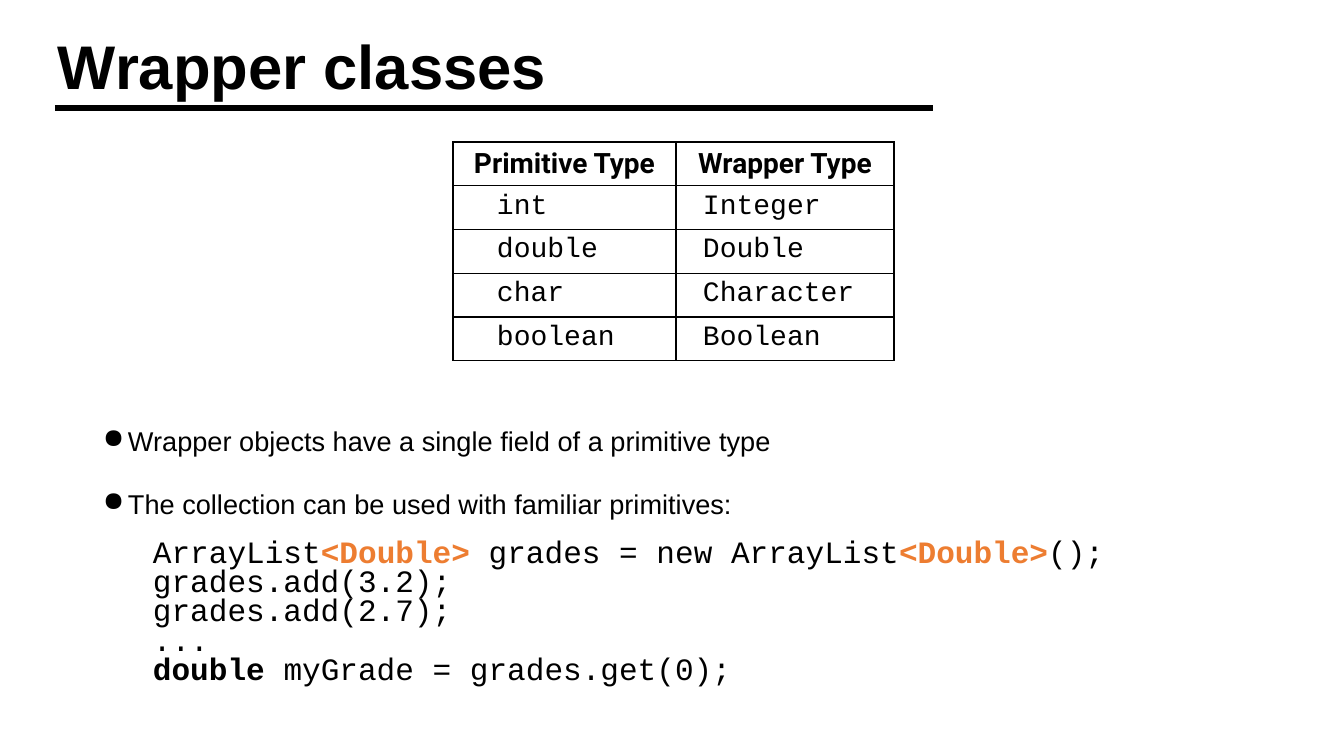
from dataclasses import dataclass

from lxml.etree import SubElement
from pptx import Presentation
from pptx.dml.color import RGBColor as Color
from pptx.enum.shapes import MSO_CONNECTOR as Connector
from pptx.enum.text import MSO_ANCHOR as Anchor, PP_ALIGN as Align
from pptx.oxml import parse_xml
from pptx.oxml.ns import nsdecls, qn
from pptx.util import Emu, Pt

EMU_PER_PIXEL = 914400 / 100.8


def px(pixels):
    """Turn whole pixels into EMU."""
    return Emu(round(pixels * EMU_PER_PIXEL))


@dataclass(frozen=True)
class Theme:
    """Colours, fonts and type sizes of the slide."""
    ink: str = "000000"
    accent: str = "ED7D31"
    sans: str = "Arial"
    code: str = "Courier New"
    header: str = "Roboto"
    title_size: float = 44
    table_size: float = 20
    bullet_size: float = 19.4
    code_size: float = 22.2
    rule_width: float = 4.31
    border_width: float = 1


class Page:
    """Draws styled elements on one slide."""

    def __init__(self, slide, theme):
        """Keep the slide and its theme."""
        self.shapes, self.theme = slide.shapes, theme

    def style(self, para, name, size, bold=False):
        """Set the font shared by the runs of a paragraph."""
        font = para.font
        font.name, font.size, font.bold = name, Pt(size), bold
        font.color.rgb = Color.from_string(self.theme.ink)

    def text_box(self, left, top, width, height, anchor=Anchor.TOP):
        """Add a wrapping text box without margins and return its frame."""
        frame = self.shapes.add_textbox(*map(px, (left, top, width, height))).text_frame
        frame.word_wrap, frame.vertical_anchor = True, anchor
        frame.margin_left = frame.margin_right = frame.margin_top = frame.margin_bottom = 0
        return frame

    def title(self, text, *place):
        """Add the slide title."""
        para = self.text_box(*place, anchor=Anchor.MIDDLE).paragraphs[0]
        para.text, para.line_spacing = text, 0.9
        self.style(para, self.theme.sans, self.theme.title_size, bold=True)

    def rule(self, left, right, y):
        """Add a thick horizontal line."""
        line = self.shapes.add_connector(Connector.STRAIGHT, px(left), px(y), px(right), px(y))
        line.line.color.rgb = Color.from_string(self.theme.ink)
        line.line.width = Pt(self.theme.rule_width)
        SubElement(line._element.spPr, qn("a:effectLst"))

    def bullet(self, para, text, gap=0):
        """Fill a paragraph as a bulleted sentence."""
        para.text, para.line_spacing, para.space_before = text, Pt(22), Pt(gap)
        self.style(para, self.theme.sans, self.theme.bullet_size)
        props = para._p.get_or_add_pPr()
        props.set("marL", str(px(25)))
        props.set("indent", str(-px(25)))
        mark = parse_xml(f'<a:buChar {nsdecls("a")} char="●"/>')
        props.find(qn("a:defRPr")).addprevious(mark)

    def code_line(self, para, spans, gap=0):
        """Fill a paragraph with code; each span is text, bold, colour."""
        para.line_spacing, para.space_before = Pt(21), Pt(gap)
        self.style(para, self.theme.code, self.theme.code_size)
        para._p.get_or_add_pPr().set("marL", str(px(50)))
        for text, bold, colour in spans:
            span = para.add_run()
            span.text, span.font.bold = text, bold
            span.font.color.rgb = Color.from_string(colour)

    def border(self, cell):
        """Draw all four borders of a cell."""
        props = cell._tc.get_or_add_tcPr()
        for index, side in enumerate("LRTB"):
            props.insert(index, parse_xml(
                f'<a:ln{side} {nsdecls("a")} w="{Pt(self.theme.border_width)}"><a:solidFill>'
                f'<a:srgbClr val="{self.theme.ink}"/></a:solidFill></a:ln{side}>'))

    def table(self, rows, left, top, widths, heights, indents):
        """Add a bordered table with a bold header and indented code cells."""
        size = px(sum(widths)), px(sum(heights))
        table = self.shapes.add_table(len(rows), len(widths), px(left), px(top), *size).table
        table.horz_banding = table.first_row = False
        for column, width in zip(table.columns, widths):
            column.width = px(width)
        for row, height in zip(table.rows, heights):
            row.height = px(height)
        for r, texts in enumerate(rows):
            for c, text in enumerate(texts):
                cell = table.cell(r, c)
                cell.text = text
                cell.fill.background()
                para = cell.text_frame.paragraphs[0]
                if r == 0:
                    para.alignment = Align.CENTER
                    self.style(para, self.theme.header, self.theme.table_size, bold=True)
                else:
                    cell.margin_left = px(indents[c])
                    self.style(para, self.theme.code, self.theme.table_size)
                self.border(cell)


TYPES = [("Primitive Type", "Wrapper Type"), ("int", "Integer"), ("double", "Double"),
         ("char", "Character"), ("boolean", "Boolean")]
BULLETS = [("Wrapper objects have a single field of a primitive type", 0),
           ("The collection can be used with familiar primitives:", 23)]


def main():
    """Build and save the slide."""
    deck = Presentation()
    deck.slide_width, deck.slide_height = px(1344), px(756)
    theme = Theme()
    page = Page(deck.slides.add_slide(deck.slide_layouts[6]), theme)

    page.title("Wrapper classes", 58, 0, 1140, 140)
    page.table(TYPES, 453, 142, (223, 218), (43, 42, 42, 42, 42), (44, 27))
    page.rule(55, 933, 108)

    element_type = ("<Double>", True, theme.accent)
    code = [
        [("ArrayList", False, theme.ink), element_type,
         (" grades = new ArrayList", False, theme.ink), element_type,
         ("();", False, theme.ink)],
        [("grades.add(3.2);", False, theme.ink)],
        [("grades.add(2.7);", False, theme.ink)],
        [("...", False, theme.ink)],
        [("double ", True, theme.ink), ("myGrade = grades.get(0);", False, theme.ink)],
    ]
    body = page.text_box(103, 426, 1139, 264)
    for index, (text, gap) in enumerate(BULLETS):
        page.bullet(body.add_paragraph() if index else body.paragraphs[0], text, gap)
    for index, spans in enumerate(code):
        page.code_line(body.add_paragraph(), spans, gap=0 if index else 14.4)

    deck.save("out.pptx")


main()
